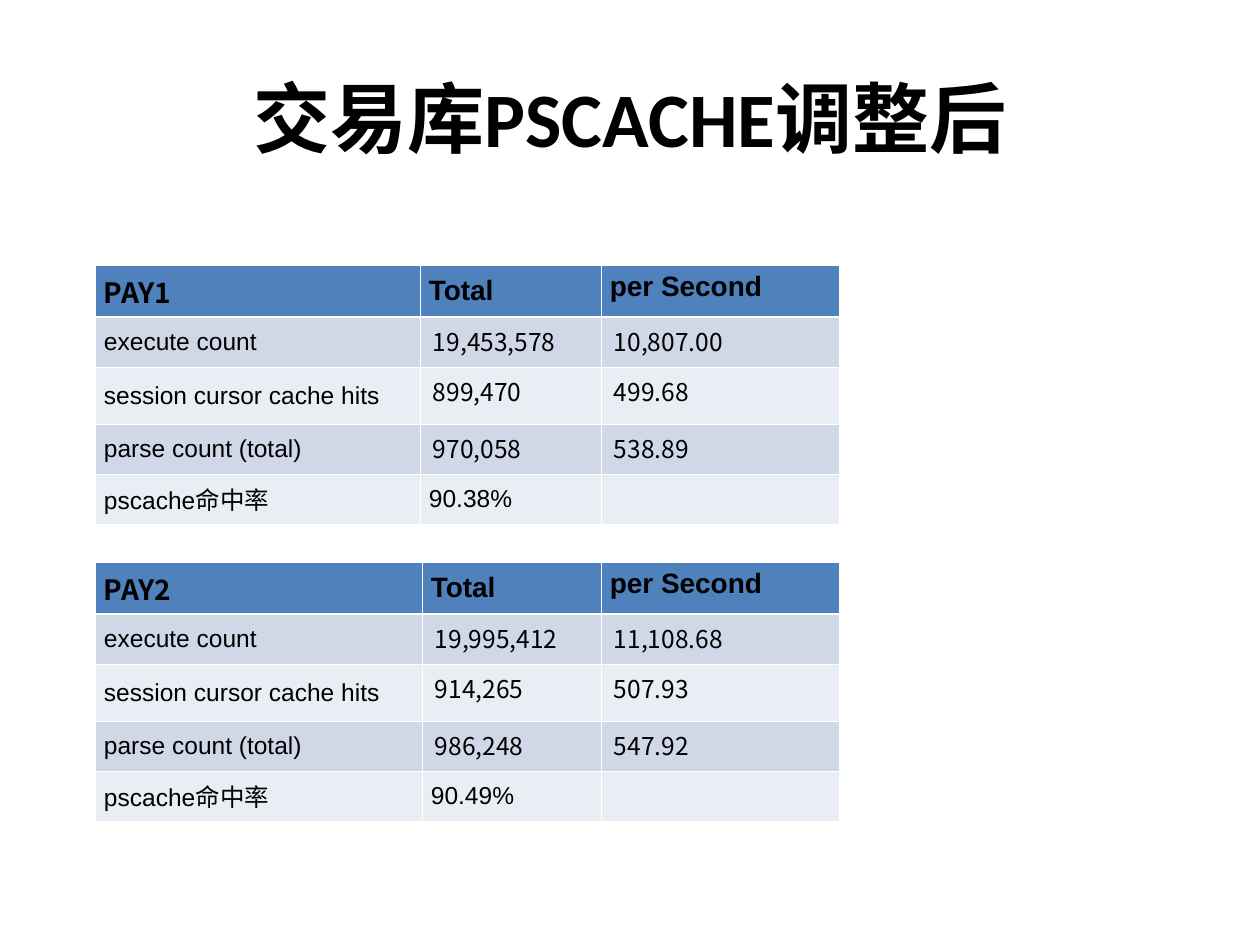
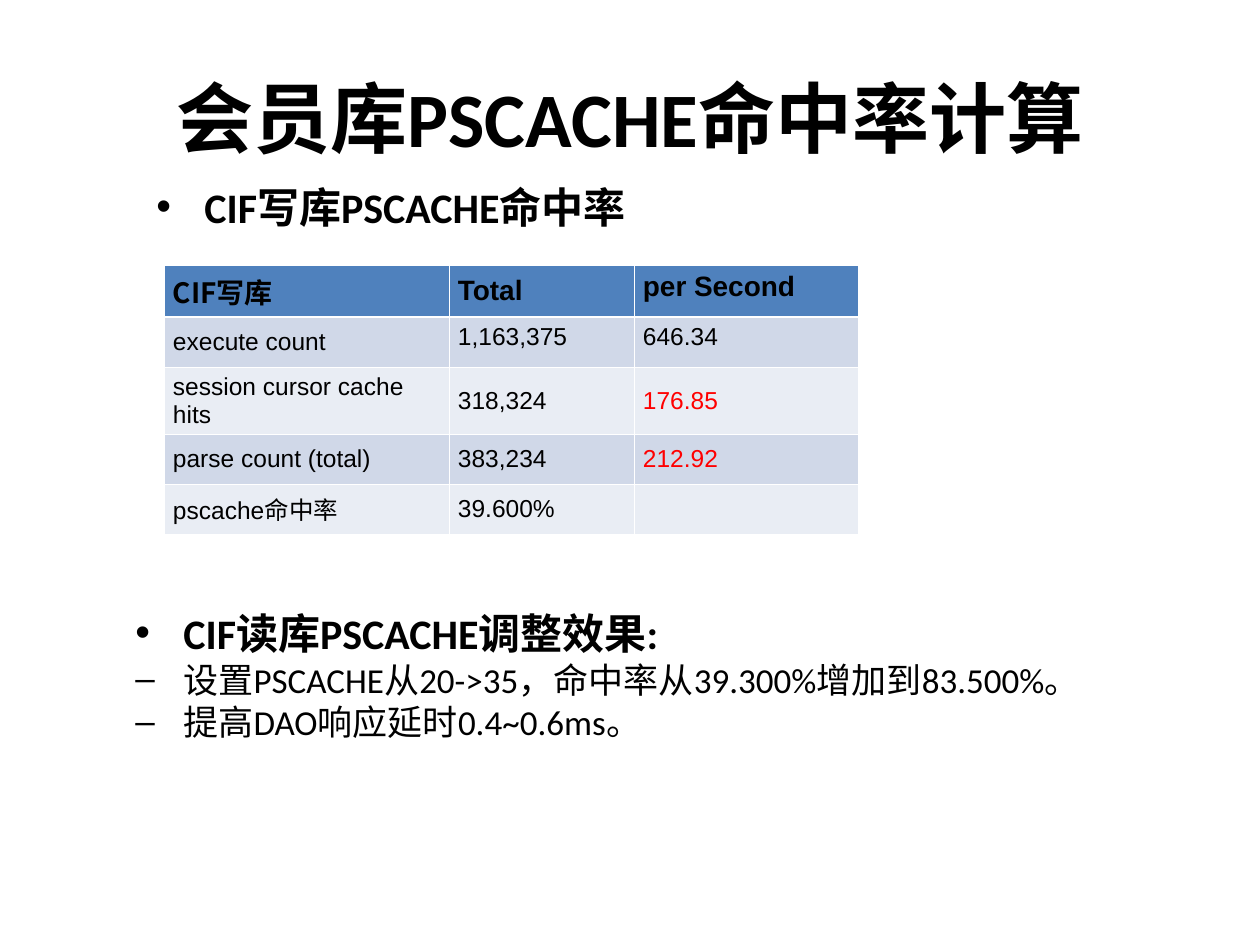
from lxml.etree import SubElement
from pptx import Presentation
from pptx.dml.color import RGBColor
from pptx.enum.text import MSO_ANCHOR as Anchor, MSO_AUTO_SIZE as AutoSize, PP_ALIGN as Align
from pptx.oxml.ns import qn
from pptx.util import Emu, Pt

PX_PER_INCH = 126
TITLE_ONLY = 5
COLORS = {"text": "000000", "alert": "FF0000", "border": "FFFFFF",
          "header": "4F81BD", "band": "D0D8E8", "plain": "E9EDF4"}
BODY_FONT, TABLE_FONT, CJK_FONT = "Calibri", "Arial", "Noto Sans CJK SC"
TITLE_BOX = (63, 38, 1134, 157)
CELL_INSET, WIDE_INSET, CELL_PAD = 9, 13, 6
THIN, THICK = 0.45, 1.47
LABELS = ["execute count", "session cursor cache hits", "parse count (total)", "pscache命中率"]
BULLET_INDENT = 48


def px(length):
    return Emu(round(length * 914400 / PX_PER_INCH))


def style_runs(para, size, font=BODY_FONT, bold=False, color="text"):
    for span in para.runs:
        span.font.size = Pt(size)
        span.font.bold = bold
        span.font.color.rgb = RGBColor.from_string(COLORS[color])
        span.font.name = font
        SubElement(span._r.get_or_add_rPr(), qn("a:ea"), typeface=CJK_FONT)


def add_titled_page(deck, title):
    page = deck.slides.add_slide(deck.slide_layouts[TITLE_ONLY])
    box = page.shapes.title
    box.left, box.top, box.width, box.height = map(px, TITLE_BOX)
    box.text_frame.text = title
    box.text_frame.vertical_anchor = Anchor.MIDDLE
    para = box.text_frame.paragraphs[0]
    para.alignment = Align.CENTER
    style_runs(para, 44, bold=True)
    return page


def draw_borders(cell, row):
    props = cell._tc.get_or_add_tcPr()
    widths = {"L": THIN, "R": THIN,
              "T": THICK if row == 1 else THIN,
              "B": THICK if row == 0 else THIN}
    for side, width in widths.items():
        line = SubElement(props, qn(f"a:ln{side}"), w=str(Pt(width)))
        fill = SubElement(line, qn("a:solidFill"))
        SubElement(fill, qn("a:srgbClr"), val=COLORS["border"])


def fill_cell(cell, row, text, font, size=14, bold=False, color="text",
              inset=CELL_INSET, anchor=Anchor.MIDDLE):
    draw_borders(cell, row)
    shade = "header" if row == 0 else "band" if row % 2 else "plain"
    cell.fill.solid()
    cell.fill.fore_color.rgb = RGBColor.from_string(COLORS[shade])
    cell.margin_left = cell.margin_right = px(inset)
    cell.margin_top = cell.margin_bottom = px(CELL_PAD)
    cell.vertical_anchor = anchor
    para = cell.text_frame.paragraphs[0]
    para.add_run().text = text
    style_runs(para, size, font, bold, color)


def add_stats_table(page, left, top, widths, heights, name, readings, hit_rate,
                    font=TABLE_FONT, inset=CELL_INSET, top_rows=(), alert_rows=()):
    """Statistics table: header, three rows of readings, hit rate."""
    table = page.shapes.add_table(
        len(heights), len(widths), px(left), px(top),
        px(sum(widths)), px(sum(heights))).table
    for column, width in zip(table.columns, widths):
        column.width = px(width)
    for line, height in zip(table.rows, heights):
        line.height = px(height)

    # Header row
    for col, text in enumerate([name, "Total", "per Second"]):
        fill_cell(table.cell(0, col), 0, text, TABLE_FONT if col else CJK_FONT, 16, True,
                  anchor=Anchor.TOP if col == 2 else Anchor.MIDDLE)

    # Labels and values
    for row, (label, values) in enumerate(zip(LABELS, [*readings, (hit_rate, "")]), 1):
        fill_cell(table.cell(row, 0), row, label, TABLE_FONT)
        is_reading = row <= len(readings)
        for col, value in enumerate(values, 1):
            fill_cell(table.cell(row, col), row, value,
                      font if is_reading else TABLE_FONT,
                      color="alert" if col == 2 and row in alert_rows else "text",
                      inset=inset if is_reading else CELL_INSET,
                      anchor=Anchor.TOP if row in top_rows else Anchor.MIDDLE)


def add_bullets(page, left, top, width, height, heading, points=()):
    """Bold bulleted heading with dashed points below it."""
    box = page.shapes.add_textbox(px(left), px(top), px(width), px(height))
    frame = box.text_frame
    frame.text = "\n".join([heading, *points])
    frame.word_wrap = True
    frame.auto_size = AutoSize.SHAPE_TO_FIT_TEXT
    for index, para in enumerate(frame.paragraphs):
        props = para._p.get_or_add_pPr()
        props.set("marL", str(px(BULLET_INDENT)))
        props.set("indent", str(-px(BULLET_INDENT)))
        tint = SubElement(props, qn("a:buClr"))
        SubElement(tint, qn("a:srgbClr"), val=COLORS["text"])
        SubElement(props, qn("a:buFont"), typeface=TABLE_FONT)
        SubElement(props, qn("a:buChar"), char="–" if index else "•")
        para.line_spacing = 0.8
        para.space_before = Pt(5 if index else 0)
        style_runs(para, 20 if index else 24, bold=index == 0)


def build_trade_page(deck):
    page = add_titled_page(deck, "交易库PSCACHE调整后")
    heights = [50, 50, 57, 50, 50]
    look = {"font": CJK_FONT, "inset": WIDE_INSET, "top_rows": (1, 2, 3)}
    add_stats_table(page, 95, 265, [325, 181, 238], heights, "PAY1",
                    [("19,453,578", "10,807.00"), ("899,470", "499.68"),
                     ("970,058", "538.89")], "90.38%", **look)
    add_stats_table(page, 95, 562, [327, 179, 238], heights, "PAY2",
                    [("19,995,412", "11,108.68"), ("914,265", "507.93"),
                     ("986,248", "547.92")], "90.49%", **look)


def build_member_page(deck):
    page = add_titled_page(deck, "会员库PSCACHE命中率计算")
    add_stats_table(page, 164, 265, [285, 185, 224], [50, 50, 59, 50, 50], "CIF写库",
                    [("1,163,375", "646.34"), ("318,324", "176.85"),
                     ("383,234", "212.92")], "39.600%",
                    top_rows=(1,), alert_rows=(2, 3))
    add_bullets(page, 123, 611, 973, 171, "CIF读库PSCACHE调整效果:",
                ["设置PSCACHE从20->35，命中率从39.300%增加到83.500%。",
                 "提高DAO响应延时0.4~0.6ms。"])
    add_bullets(page, 144, 185, 517, 93, "CIF写库PSCACHE命中率")


def main():
    deck = Presentation()
    deck.slide_width, deck.slide_height = px(1260), px(945)
    build_trade_page(deck)
    build_member_page(deck)
    deck.save("out.pptx")


if __name__ == "__main__":
    main()
